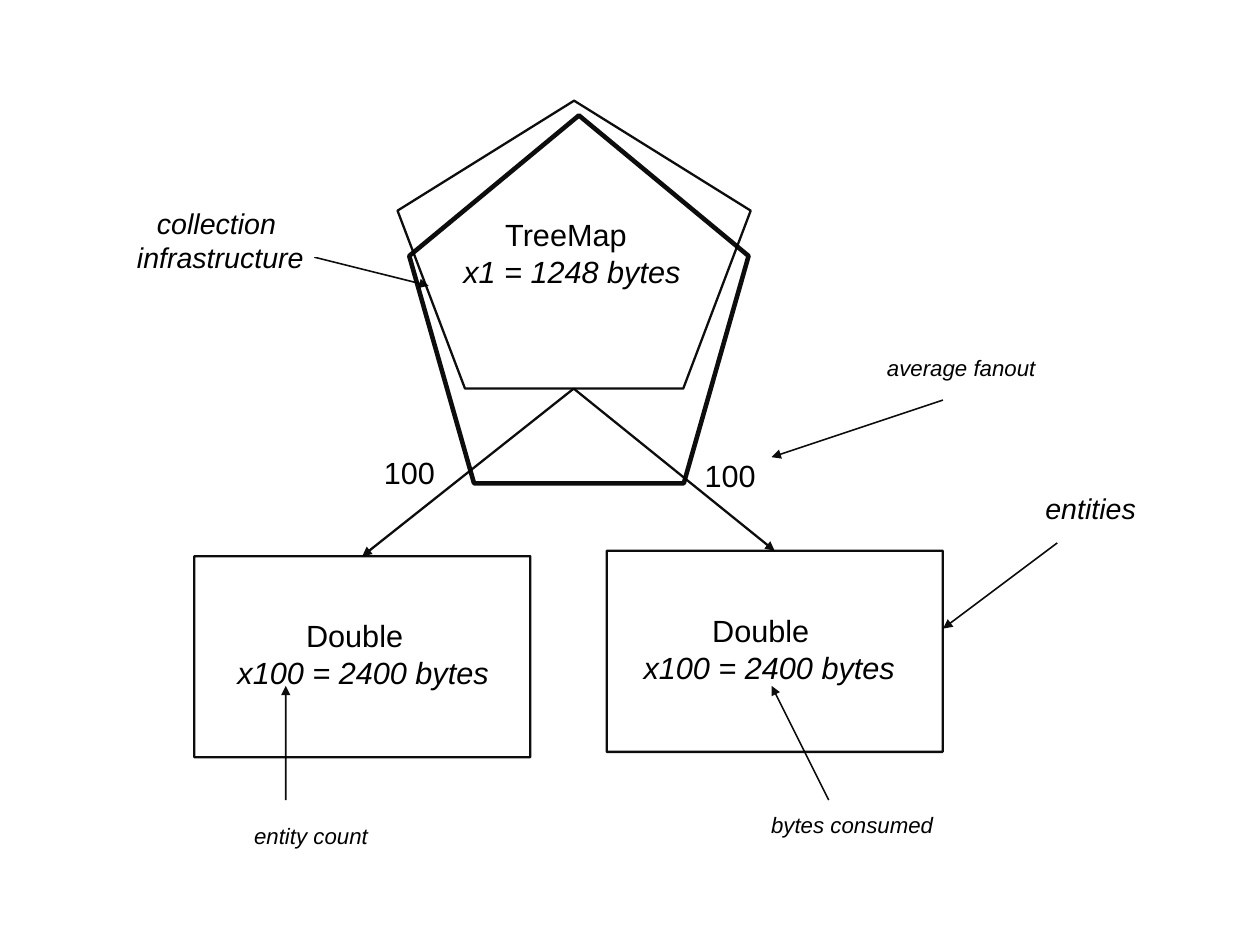
from pptx import Presentation
from pptx import util as u
from pptx.dml import color
from pptx.enum import shapes, text
from pptx.oxml import ns
from lxml import etree

Pt = u.Pt
COLORS = {"ink": "000000", "paper": "FFFFFF"}
INK = color.RGBColor.from_string(COLORS["ink"])
THICK, MEDIUM, HAIRLINE = 2.89, 1.45, 0

deck = Presentation()
deck.slide_width, deck.slide_height = Pt(793.7), Pt(595.3)
slide = deck.slides.add_slide(deck.slide_layouts[6])
slide.background.fill.solid()
slide.background.fill.fore_color.rgb = color.RGBColor.from_string(COLORS["paper"])


def style_line(line, width):
    line.color.rgb = INK
    line.width = Pt(width)
    ink = line.fill._xPr.find(".//" + ns.qn("a:srgbClr"))
    etree.SubElement(ink, ns.qn("a:alpha"), val="95000")


def add_label(left, top, width, height, size, insets, lines):
    box = slide.shapes.add_textbox(Pt(left), Pt(top), Pt(width), Pt(height))
    frame = box.text_frame
    side, above, below = insets
    frame_format = {
        "word_wrap": True, "auto_size": text.MSO_AUTO_SIZE.NONE,
        "margin_left": Pt(side), "margin_right": Pt(0),
        "margin_top": Pt(above), "margin_bottom": Pt(below),
    }
    for attribute, value in frame_format.items():
        setattr(frame, attribute, value)
    for number, (words, indent, italic) in enumerate(lines):
        paragraph = frame.paragraphs[0] if number == 0 else frame.add_paragraph()
        paragraph._p.get_or_add_pPr().set("marL", str(Pt(indent)))
        run = paragraph.add_run()
        run.text = words
        font_format = {"name": "Arial", "size": Pt(size), "italic": italic}
        for attribute, value in font_format.items():
            setattr(run.font, attribute, value)
        run.font.color.rgb = INK


# Collection pentagons and entity boxes
PENTAGON = shapes.MSO_SHAPE.REGULAR_PENTAGON
RECTANGLE = shapes.MSO_SHAPE.RECTANGLE
for kind, left, top, width, height, weight in [
    (PENTAGON, 257.8, 72.7, 213.8, 231.8, THICK),
    (PENTAGON, 250.4, 63.4, 222.5, 181.4, MEDIUM),
    (RECTANGLE, 122.4, 350.4, 211.7, 126.7, MEDIUM),
    (RECTANGLE, 382.2, 347, 211.7, 126.7, MEDIUM),
]:
    outline = slide.shapes.add_shape(kind, Pt(left), Pt(top), Pt(width), Pt(height))
    outline.shadow.inherit = False
    outline.fill.background()
    style_line(outline.line, weight)

# Fanout arrows, then the thin callout arrows
for x1, y1, x2, y2, weight in [
    (361.4, 244.8, 228.2, 350.4, MEDIUM),
    (361.4, 244.8, 488, 347, MEDIUM),
    (666, 342, 594, 396, HAIRLINE),
    (198, 162, 270, 180, HAIRLINE),
    (594, 252, 486, 288, HAIRLINE),
    (180, 504, 180, 432, HAIRLINE),
    (522, 504, 486, 432, HAIRLINE),
]:
    arrow = slide.shapes.add_connector(
        shapes.MSO_CONNECTOR.STRAIGHT, Pt(x1), Pt(y1), Pt(x2), Pt(y2))
    style_line(arrow.line, weight)
    etree.SubElement(arrow.line.fill._xPr, ns.qn("a:tailEnd"), type="triangle")
    etree.SubElement(arrow._element.spPr, ns.qn("a:effectLst"))
    # The theme style would override a zero line width
    arrow._element.remove(arrow._element.find(ns.qn("p:style")))

# Type names with sizes, and fanout counts
entity = [("Double", 43.2, False), ("x100 = 2400 bytes", 0, True)]
for left, top, width, height, lines in [
    (282.6, 130.3, 165, 54.7, [("TreeMap", 26.4, False), ("x1 = 1248 bytes", 0, True)]),
    (140.4, 383, 185, 54.7, entity),
    (396.2, 379.8, 185, 54.7, entity),
    (434.6, 281.8, 51.1, 33.1, [("100", 0, False)]),
    (232.6, 280.1, 51.1, 33.1, [("100", 0, False)]),
]:
    add_label(left, top, width, height, 19.3, (9.2, 5.8, 5.8), lines)

# Callout captions: small ones sit lower in their boxes
top_inset = {14: 7.2, 18: 3.5}
for left, top, width, height, size, lines in [
    (538.6, 216, 123, 31.7, 14, [("average fanout", 13, True)]),
    (639.4, 306, 90, 31.7, 18, [("entities", 12, True)]),
    (79.2, 126, 122, 51.8, 18,
     [("collection", 12.6, True), ("infrastructure", 0, True)]),
    (142, 511, 105, 31.7, 14, [("entity count", 11, True)]),
    (466.6, 504, 132, 31.7, 14, [("bytes consumed", 12, True)]),
]:
    add_label(left, top, width, height, size, (7.2, top_inset[size], 3.6), lines)

deck.save("out.pptx")
